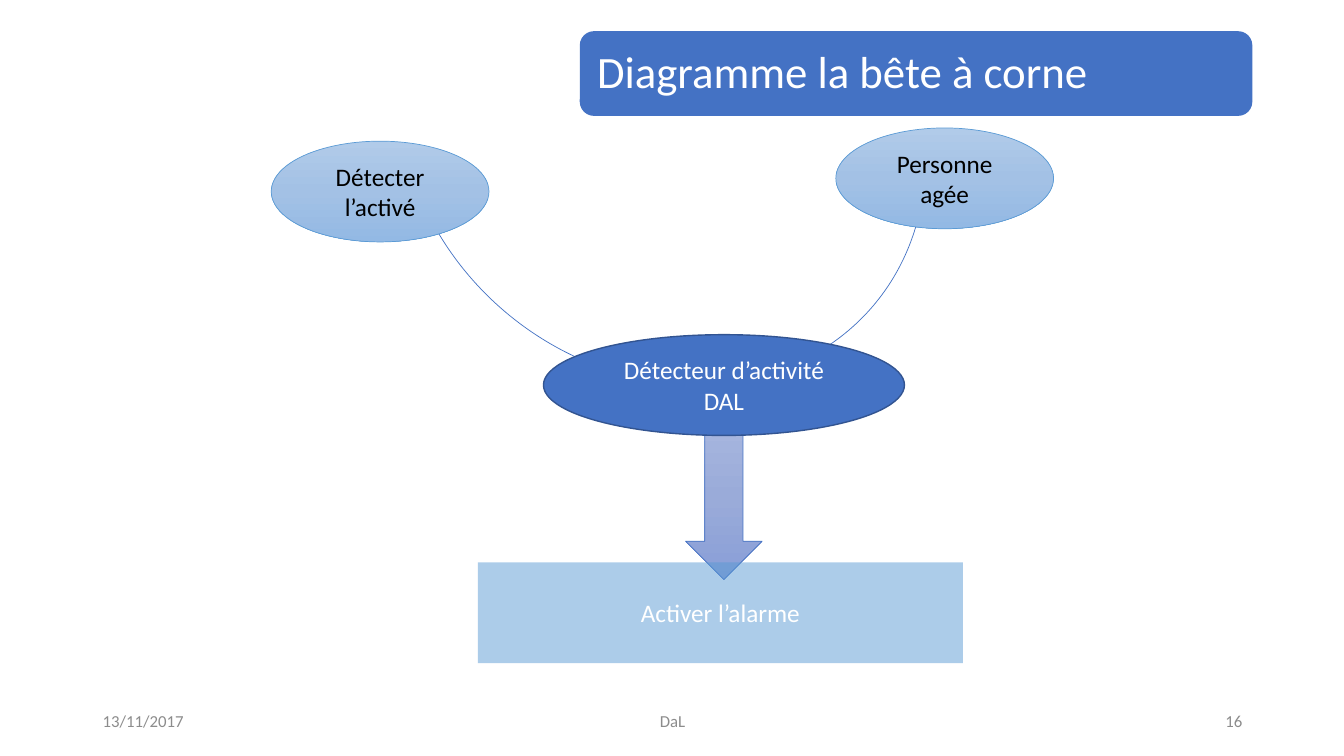
from copy import deepcopy

from lxml import etree
from pptx import Presentation
from pptx.dml.color import RGBColor
from pptx.enum.shapes import MSO_SHAPE
from pptx.enum.text import MSO_ANCHOR, PP_ALIGN
from pptx.oxml.ns import qn
from pptx.util import Inches, Pt

OVAL, BOX, BANNER = MSO_SHAPE.OVAL, MSO_SHAPE.RECTANGLE, MSO_SHAPE.ROUNDED_RECTANGLE
ARC, ARROW = MSO_SHAPE.ARC, MSO_SHAPE.DOWN_ARROW
LEFT, CENTER, RIGHT = PP_ALIGN.LEFT, PP_ALIGN.CENTER, PP_ALIGN.RIGHT
MIDDLE = MSO_ANCHOR.MIDDLE

COLORS = {
    "blue": "4472C4", "navy": "325491", "sky": "5B9BD5",
    "white": "FFFFFF", "black": "000000", "grey": "8C8C8C",
}
ARROW_SHADES = ("A8B7DF", "9AABD9", "889ED7")
NEED_SHADES = ("B1CBE9", "A3C1E5", "93B9E4")
FONT = "Calibri"
WIDTH, HEIGHT = Inches(13.33), Inches(7.5)

ROW = 13.33
TITLE = ("Diagramme la bête à corne", (43.14, 4.13, 50.04, 11.2))
PRODUCT = ("Détecteur d’activité DAL", (40.44, 44.27, 26.86, ROW))
NEEDS = [
    ("Détecter l’activé", (20.18, 18.67, 16.2, ROW)),
    ("Personne agée", (62.19, 16.93, 16.2, ROW)),
]
PURPOSE = ("Activer l’alarme", (35.56, 74.4, 36.08, ROW))
ARROW_AREA = (51.01, 55.33, 5.7, 21.33)
HORNS_AREA = (31.13, -20.13, 36.23, 73.47)
HORNS_TURN = 131
HORNS_ENDS = (148.16, 17.81)
FOOTER_TOP, FOOTER_HEIGHT = 92.67, 5.33
FOOTER = [
    ("13/11/2017", 6.9, 22.5, LEFT),
    ("DaL", 33.16, 33.76, CENTER),
    ("16", 70.67, 22.5, RIGHT),
]


def rgb(name):
    return RGBColor.from_string(COLORS[name])


def place(area):
    left, top, width, height = area
    return [round(share * side / 100) for share, side in
            ((left, WIDTH), (top, HEIGHT), (width, WIDTH), (height, HEIGHT))]


def write(shape, words, size, color, align):
    frame = shape.text_frame
    frame.word_wrap = True
    frame.vertical_anchor = MIDDLE
    paragraph = frame.paragraphs[0]
    paragraph.alignment = align
    run = paragraph.add_run()
    run.text = words
    run.font.name = FONT
    run.font.size = Pt(size)
    run.font.color.rgb = rgb(color)
    return frame


def shade(shape, shades):
    shape.fill.gradient()
    shape.fill.gradient_angle = 270
    first, last = shape.fill.gradient_stops
    first.color.rgb = RGBColor.from_string(shades[0])
    last.color.rgb = RGBColor.from_string(shades[2])
    stops = shape._element.spPr.find(".//" + qn("a:gsLst"))
    middle = deepcopy(stops[0])
    middle.set("pos", "50000")
    middle.find(qn("a:srgbClr")).set("val", shades[1])
    stops.insert(1, middle)


def draw(slide, kind, area, fill=None, shades=None, line=None, weight=0.5):
    shape = slide.shapes.add_shape(kind, *place(area))
    shape.shadow.inherit = False
    if shades:
        shade(shape, shades)
    elif fill:
        shape.fill.solid()
        shape.fill.fore_color.rgb = rgb(fill)
    else:
        shape.fill.background()
    if line:
        shape.line.color.rgb = rgb(line)
        shape.line.width = Pt(weight)
    else:
        shape.line.fill.background()
    return shape


def main():
    deck = Presentation()
    deck.slide_width, deck.slide_height = WIDTH, HEIGHT
    slide = deck.slides.add_slide(deck.slide_layouts[6])

    draw(slide, ARROW, ARROW_AREA, shades=ARROW_SHADES, line="blue")

    horns = draw(slide, ARC, HORNS_AREA, line="blue")
    horns.rotation = HORNS_TURN
    horns.adjustments[0], horns.adjustments[1] = HORNS_ENDS

    words, area = TITLE
    banner = draw(slide, BANNER, area, fill="blue")
    heading = write(banner, words, 32, "white", LEFT)
    heading.margin_left = heading.margin_right = Inches(0.13)
    heading.paragraphs[0].line_spacing = 0.9

    words, area = PRODUCT
    product = draw(slide, OVAL, area, fill="blue", line="navy", weight=1)
    write(product, words, 18, "white", CENTER)

    for words, area in NEEDS:
        need = draw(slide, OVAL, area, shades=NEED_SHADES, line="sky")
        write(need, words, 18, "black", CENTER)

    words, area = PURPOSE
    purpose = draw(slide, BOX, area, fill="sky")
    tint = purpose._element.spPr.find(".//" + qn("a:srgbClr"))
    etree.SubElement(tint, qn("a:alpha")).set("val", "50000")
    write(purpose, words, 18, "white", CENTER)

    for words, left, width, align in FOOTER:
        area = (left, FOOTER_TOP, width, FOOTER_HEIGHT)
        note = slide.shapes.add_textbox(*place(area))
        write(note, words, 12, "grey", align)

    deck.save("out.pptx")


if __name__ == "__main__":
    main()
